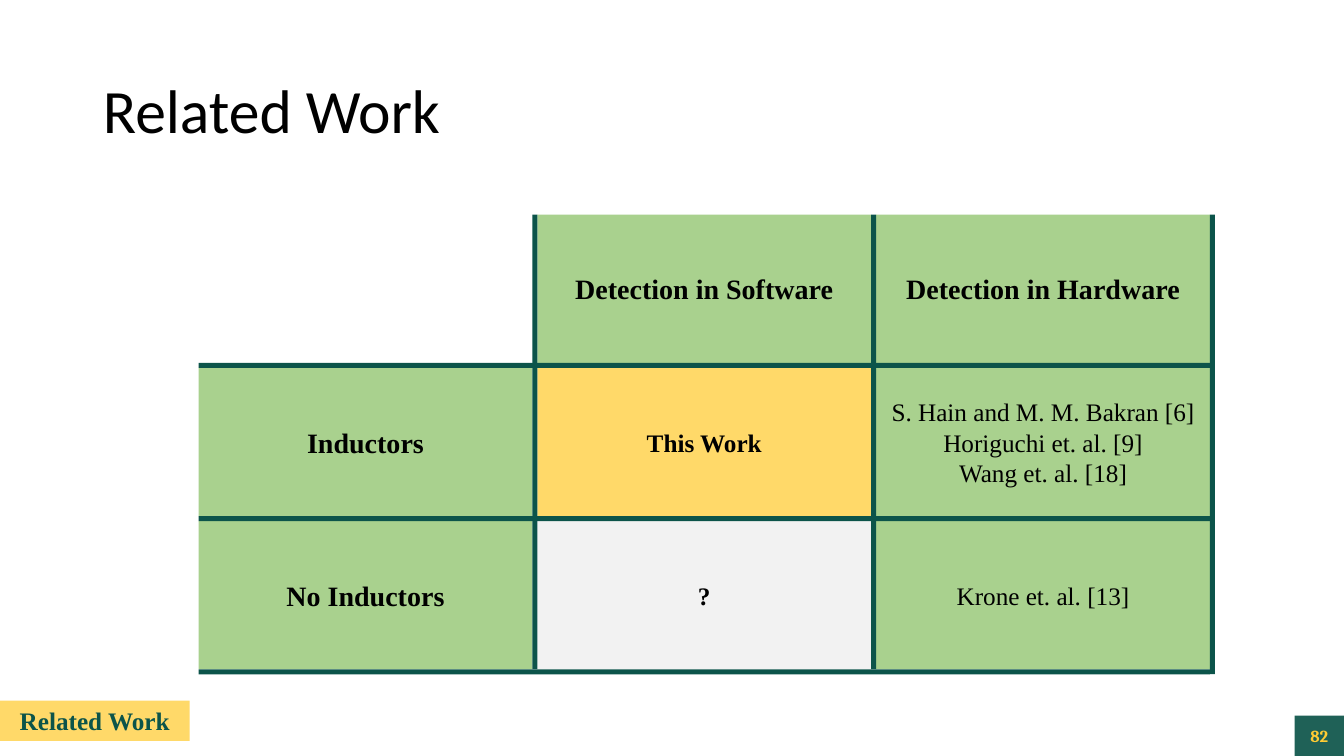
import pptx
import pptx.dml.color
import pptx.enum.shapes
import pptx.enum.text
import pptx.util

RGB = pptx.dml.color.RGBColor
Inches = pptx.util.Inches
Pt = pptx.util.Pt
ALIGN = pptx.enum.text.PP_ALIGN
MIDDLE = pptx.enum.text.MSO_ANCHOR.MIDDLE

BLACK = RGB(0x00, 0x00, 0x00)
GREEN = RGB(0xA9, 0xD1, 0x8E)
YELLOW = RGB(0xFF, 0xD9, 0x69)
GRAY = RGB(0xF2, 0xF2, 0xF2)
DARK_GREEN = RGB(0x0C, 0x54, 0x4A)
NUMBER_GREEN = RGB(0x1F, 0x61, 0x57)
GOLD = RGB(0xFF, 0xCC, 0x33)

SLIDE_WIDTH, SLIDE_HEIGHT = 13.33, 7.5
CELL_WIDTH, CELL_HEIGHT, RULE = 3.31, 1.47, 0.05
SERIF = "Times New Roman"

COMPARISON = [
    [None,
     ("Detection in Software", 20, True, GREEN),
     ("Detection in Hardware", 20, True, GREEN)],
    [("Inductors", 20, True, GREEN),
     ("This Work", 18, True, YELLOW),
     ("S. Hain and M. M. Bakran [6]\nHoriguchi et. al. [9]\nWang et. al. [18]", 18, False, GREEN)],
    [("No Inductors", 20, True, GREEN),
     ("?", 18, True, GRAY),
     ("Krone et. al. [13]", 18, False, GREEN)],
]


def write(paragraph, text, size, color, bold=False, face=SERIF, align=ALIGN.CENTER):
    """Add the lines of a text to a paragraph as formatted runs."""
    paragraph.alignment = align
    for index, line in enumerate(text.split("\n")):
        if index:
            paragraph.add_line_break()
        run = paragraph.add_run()
        run.text = line
        run.font.size = Pt(size)
        run.font.name = face
        run.font.bold = bold
        run.font.color.rgb = color


def add_block(slide, left, top, width, height, color):
    """Draw a plain filled rectangle and return its text frame."""
    block = slide.shapes.add_shape(
        pptx.enum.shapes.MSO_SHAPE.RECTANGLE,
        Inches(left), Inches(top), Inches(width), Inches(height))
    block.shadow.inherit = False
    block.fill.solid()
    block.fill.fore_color.rgb = color
    block.line.fill.background()
    block.text_frame.word_wrap = True
    block.text_frame.vertical_anchor = MIDDLE
    return block.text_frame


def add_title(slide, left, top, width, height):
    """Place the slide title in its box."""
    title = slide.shapes.title
    title.left, title.top = Inches(left), Inches(top)
    title.width, title.height = Inches(width), Inches(height)
    title.text_frame.vertical_anchor = MIDDLE
    heading = title.text_frame.paragraphs[0]
    heading.line_spacing = 0.9
    write(heading, "Related Work", 44, BLACK, face="Calibri", align=ALIGN.LEFT)


def add_comparison(slide, left, top):
    """Build the ruled grid of related work from its top left corner."""
    column_pitch, row_pitch = CELL_WIDTH + RULE, CELL_HEIGHT + RULE
    rows, columns = len(COMPARISON), len(COMPARISON[0])
    for row_index, row in enumerate(COMPARISON):
        for column_index, entry in enumerate(row):
            if entry is None:
                continue
            text, size, bold, color = entry
            cell = add_block(slide, left + column_index * column_pitch,
                             top + row_index * row_pitch, CELL_WIDTH, CELL_HEIGHT, color)
            write(cell.paragraphs[0], text, size, BLACK, bold)
    for row_index in range(1, rows + 1):
        add_block(slide, left, top + row_index * row_pitch - RULE,
                  columns * column_pitch - RULE, RULE, DARK_GREEN)
    for column_index in range(1, columns + 1):
        length = rows * row_pitch - (RULE if column_index < columns else 0)
        add_block(slide, left + column_index * column_pitch - RULE, top,
                  RULE, length, DARK_GREEN)


def add_tag(slide, box, text, size, color, background, face=SERIF):
    """Place a filled label in a box of left, top, width and height."""
    tag = add_block(slide, *box, background)
    write(tag.paragraphs[0], text, size, color, True, face)


def main():
    """Build and save the slide."""
    deck = pptx.Presentation()
    deck.slide_width, deck.slide_height = Inches(SLIDE_WIDTH), Inches(SLIDE_HEIGHT)
    slide = deck.slides.add_slide(deck.slide_layouts.get_by_name("Title Only"))
    add_title(slide, 0.92, 0.4, 11.5, 1.45)
    add_comparison(slide, 1.97, 2.13)
    add_tag(slide, (0, 6.95, 1.88, 0.4), "Related Work", 18, DARK_GREEN, YELLOW)
    add_tag(slide, (SLIDE_WIDTH - 0.49, SLIDE_HEIGHT - 0.4, 0.49, 0.4),
            "82", 12, GOLD, NUMBER_GREEN, "Cambria")
    deck.save("out.pptx")


if __name__ == "__main__":
    main()
